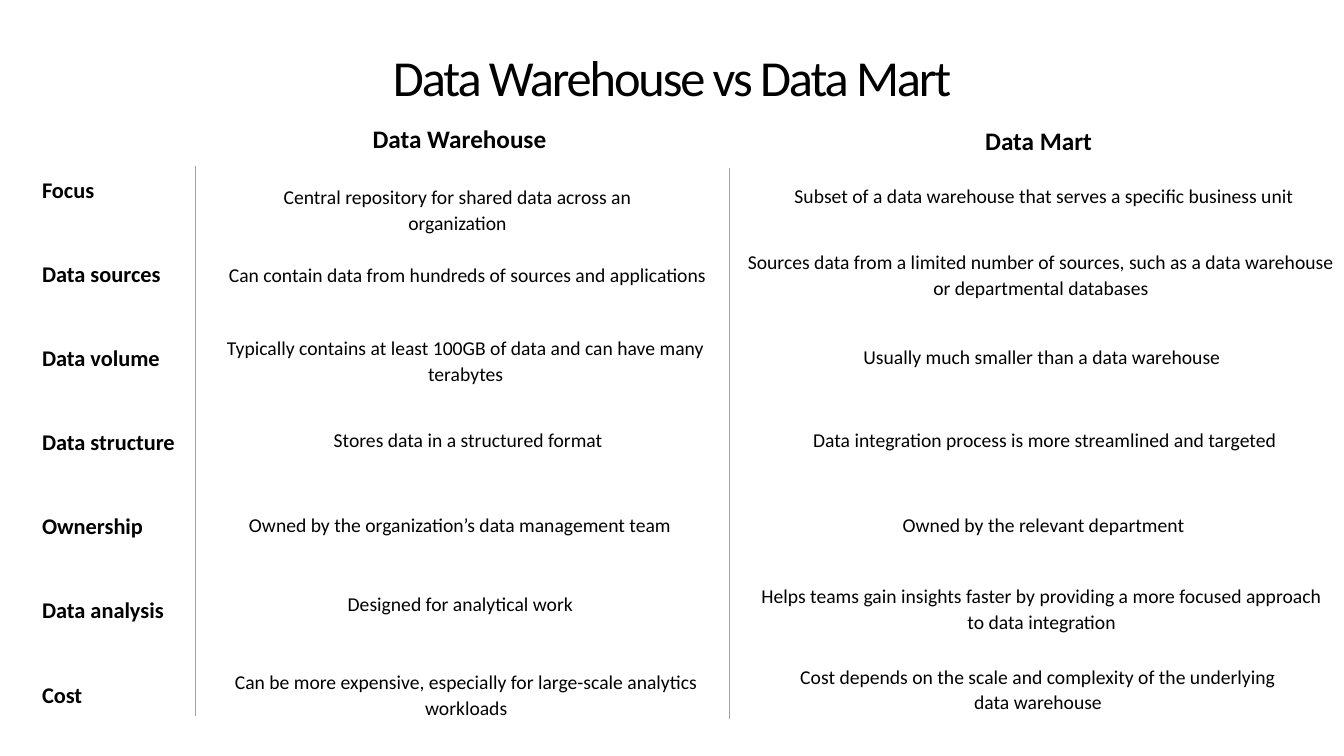
from dataclasses import dataclass

from lxml.etree import SubElement
from pptx import Presentation
from pptx.dml.color import RGBColor
from pptx.enum.shapes import MSO_CONNECTOR as Connector
from pptx.enum.text import MSO_ANCHOR as Anchor, PP_ALIGN as Align
from pptx.oxml.ns import qn
from pptx.slide import Slide
from pptx.util import Cm, Pt

COLORS = {"text": "000000", "divider": "A2A2A2", "background": "FFFFFF"}
FONT = "Calibri"


@dataclass
class Block:
    """Text with its place in centimetres."""
    lines: list[str]
    left: float
    top: float
    width: float
    height: float = 0.89
    size: int = 14
    bold: bool = False
    wrap: bool = False
    align: Align = Align.CENTER
    anchor: Anchor = Anchor.TOP
    line_spacing: float = 1.1
    gap: float = 0
    tracking: int = 0
    side_inset: float = 0.25


@dataclass
class Divider:
    x: float
    top: float
    bottom: float


def cell(text: str, left: float, top: float, width: float) -> Block:
    return Block([text], left, top, width)


def tall_cell(text: str, left: float, top: float, width: float) -> Block:
    return Block([text], left, top, width, height=1.55, wrap=True)


TITLE = Block(["Data Warehouse vs Data Mart"], 1.7, 0.74, 30.48, 2.62, size=36, wrap=True,
              anchor=Anchor.MIDDLE, line_spacing=0.85, tracking=-150, side_inset=0)

HEADINGS = [
    Block(["Data Warehouse"], 9.04, 2.9, 5.08, 1.12, size=18, bold=True, wrap=True, side_inset=0),
    Block(["Data Mart"], 24.56, 2.95, 3.23, 2.24, size=18, bold=True),
]

ASPECTS = Block(
    ["Focus", "Data sources", "Data volume", "Data structure", "Ownership", "Data analysis", "Cost"],
    0.81, 4.24, 3.89, 13.82, size=16, bold=True, align=Align.LEFT, gap=39)

WAREHOUSE = [
    cell("Central repository for shared data across an organization", 5.61, 4.47, 11.84),
    cell("Can contain data from hundreds of sources and applications", 5.46, 6.45, 12.65),
    tall_cell("Typically contains at least 100GB of data and can have many terabytes", 5.08, 8.28, 13.31),
    cell("Stores data in a structured format", 8.13, 10.59, 7.34),
    cell("Owned by the organization’s data management team", 5.97, 12.75, 11.25),
    cell("Designed for analytical work", 8.48, 14.73, 6.25),
    tall_cell("Can be more expensive, especially for large-scale analytics workloads", 5.54, 16.69, 12.42),
]

MART = [
    cell("Subset of a data warehouse that serves a specific business unit", 19.71, 4.45, 13.21),
    tall_cell("Sources data from a limited number of sources, such as a data warehouse "
              "or departmental databases", 18.59, 6.12, 15.29),
    cell("Usually much smaller than a data warehouse", 21.46, 8.51, 9.6),
    cell("Data integration process is more streamlined and targeted", 20.17, 10.59, 12.32),
    cell("Owned by the relevant department", 22.45, 12.73, 7.7),
    tall_cell("Helps teams gain insights faster by providing a more focused approach "
              "to data integration", 18.82, 14.53, 14.86),
    tall_cell("Cost depends on the scale and complexity of the underlying data warehouse",
              19.43, 16.56, 13.46),
]

DIVIDERS = [Divider(4.93, 4.19, 18.03), Divider(18.39, 4.24, 18.11)]


def draw_block(slide: Slide, block: Block) -> None:
    box = slide.shapes.add_textbox(Cm(block.left), Cm(block.top), Cm(block.width), Cm(block.height))
    frame = box.text_frame
    frame.word_wrap = block.wrap
    frame.vertical_anchor = block.anchor
    frame.margin_left = frame.margin_right = Cm(block.side_inset)
    for index, line in enumerate(block.lines):
        paragraph = frame.add_paragraph() if index else frame.paragraphs[0]
        paragraph.alignment = block.align
        paragraph.line_spacing = block.line_spacing
        paragraph.space_before = Pt(block.gap if index else 0)
        run = paragraph.add_run()
        run.text = line
        run.font.name = FONT
        run.font.size = Pt(block.size)
        run.font.bold = block.bold
        run.font.color.rgb = RGBColor.from_string(COLORS["text"])
        if block.tracking:
            run.font._element.set("spc", str(block.tracking))


def draw_divider(slide: Slide, divider: Divider) -> None:
    rule = slide.shapes.add_connector(
        Connector.STRAIGHT, Cm(divider.x), Cm(divider.top), Cm(divider.x), Cm(divider.bottom))
    rule.line.color.rgb = RGBColor.from_string(COLORS["divider"])
    rule.line.width = Pt(0.75)
    SubElement(rule._element.spPr, qn("a:effectLst"))


def main() -> None:
    deck = Presentation()
    deck.slide_width, deck.slide_height = Cm(33.87), Cm(19.05)
    slide = deck.slides.add_slide(deck.slide_layouts[6])
    slide.background.fill.solid()
    slide.background.fill.fore_color.rgb = RGBColor.from_string(COLORS["background"])

    # Title, headings and comparison text
    for block in [TITLE, *HEADINGS, ASPECTS, *WAREHOUSE, *MART]:
        draw_block(slide, block)

    # Column dividers
    for divider in DIVIDERS:
        draw_divider(slide, divider)

    deck.save("out.pptx")


if __name__ == "__main__":
    main()
